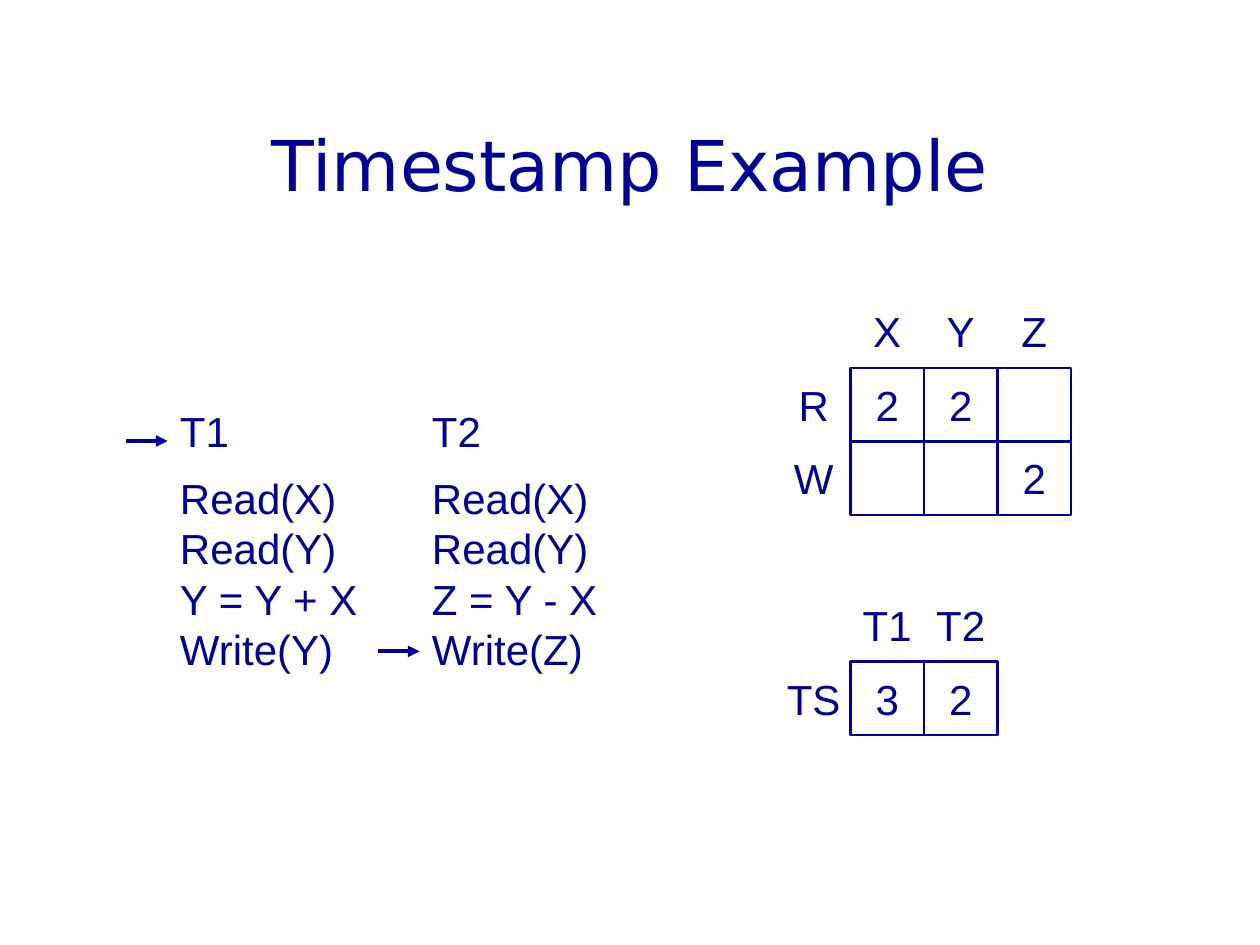
import pptx
import pptx.util
import pptx.dml.color
import pptx.enum.text
import pptx.enum.shapes
import pptx.oxml.ns
import lxml.etree

Inches = pptx.util.Inches
Pt = pptx.util.Pt
qn = pptx.oxml.ns.qn
ALIGN = pptx.enum.text.PP_ALIGN
MIDDLE = pptx.enum.text.MSO_ANCHOR.MIDDLE
NAVY = "000099"
CELL = 7 / 12

TITLE = "Timestamp Example"
STEPS = [
    ("T1", "T2"),
    ("Read(X)", "Read(X)"),
    ("Read(Y)", "Read(Y)"),
    ("Y = Y + X", "Z = Y - X"),
    ("Write(Y)", "Write(Z)"),
]
GRIDS = [
    {"left": 6.75, "top": 2.92, "heads": ["X", "Y", "Z"],
     "rows": [("R", ["2", "2", ""]), ("W", ["", "", "2"])]},
    {"left": 6.75, "top": 5.25, "heads": ["T1", "T2"],
     "rows": [("TS", ["3", "2"])]},
]
ARROWS = [(1, 3.5), (3, 5.17)]
REACH = 0.33


def color(code):
    return pptx.dml.color.RGBColor.from_string(code)


def write(para, text, size=24, face="Arial"):
    run = para.add_run()
    run.text = text
    run.font.size = Pt(size)
    run.font.name = face
    run.font.color.rgb = color(NAVY)


def label(shape, text):
    frame = shape.text_frame
    frame.word_wrap = False
    frame.margin_left = frame.margin_right = 0
    frame.vertical_anchor = MIDDLE
    para = frame.paragraphs[0]
    para.alignment = ALIGN.CENTER
    write(para, text)


def cell(slide, left, top, text, boxed):
    area = [Inches(v) for v in (left, top, CELL, CELL)]
    if boxed:
        shape = slide.shapes.add_shape(pptx.enum.shapes.MSO_SHAPE.RECTANGLE, *area)
        shape.shadow.inherit = False
        shape.fill.background()
        shape.line.color.rgb = color(NAVY)
        shape.line.width = Pt(1.5)
    else:
        shape = slide.shapes.add_textbox(*area)
    if text:
        label(shape, text)


def grid(slide, left, top, heads, rows):
    for col, head in enumerate(heads):
        cell(slide, left + col * CELL, top - CELL, head, False)
    for row, (name, marks) in enumerate(rows):
        high = top + row * CELL
        cell(slide, left - CELL, high, name, False)
        for col, mark in enumerate(marks):
            cell(slide, left + col * CELL, high, mark, True)


def listing(slide):
    box = slide.shapes.add_textbox(Inches(1.33), Inches(3.17), Inches(3.52), Inches(2.24))
    frame = box.text_frame
    frame.word_wrap = False
    for row, pair in enumerate(STEPS):
        para = frame.add_paragraph() if row else frame.paragraphs[0]
        para.alignment = ALIGN.LEFT
        para.line_spacing = Pt(28.75)
        para.space_before = Pt(9.5 if row == 1 else 0)
        tabs = lxml.etree.SubElement(para._p.get_or_add_pPr(), qn("a:tabLst"))
        lxml.etree.SubElement(tabs, qn("a:tab"), pos=str(Inches(2)), algn="l")
        write(para, "\t".join(pair))


def arrow(slide, left, top):
    line = slide.shapes.add_connector(
        pptx.enum.shapes.MSO_CONNECTOR.STRAIGHT,
        Inches(left), Inches(top), Inches(left + REACH), Inches(top))
    line.line.color.rgb = color(NAVY)
    line.line.width = Pt(2.25)
    props = line._element.spPr
    lxml.etree.SubElement(props.find(qn("a:ln")), qn("a:tailEnd"), type="triangle")
    lxml.etree.SubElement(props, qn("a:effectLst"))


def main():
    deck = pptx.Presentation()
    deck.slide_width, deck.slide_height = Inches(10), Inches(7.5)
    slide = deck.slides.add_slide(deck.slide_layouts[5])
    title = slide.shapes.title
    title.left, title.top = Inches(0.75), Inches(0.67)
    title.width, title.height = Inches(8.5), Inches(1.25)
    title.text_frame.vertical_anchor = MIDDLE
    para = title.text_frame.paragraphs[0]
    para.alignment = ALIGN.CENTER
    write(para, TITLE, 40, "DejaVu Sans")
    listing(slide)
    for part in GRIDS:
        grid(slide, **part)
    for spot in ARROWS:
        arrow(slide, *spot)
    deck.save("out.pptx")


if __name__ == "__main__":
    main()
